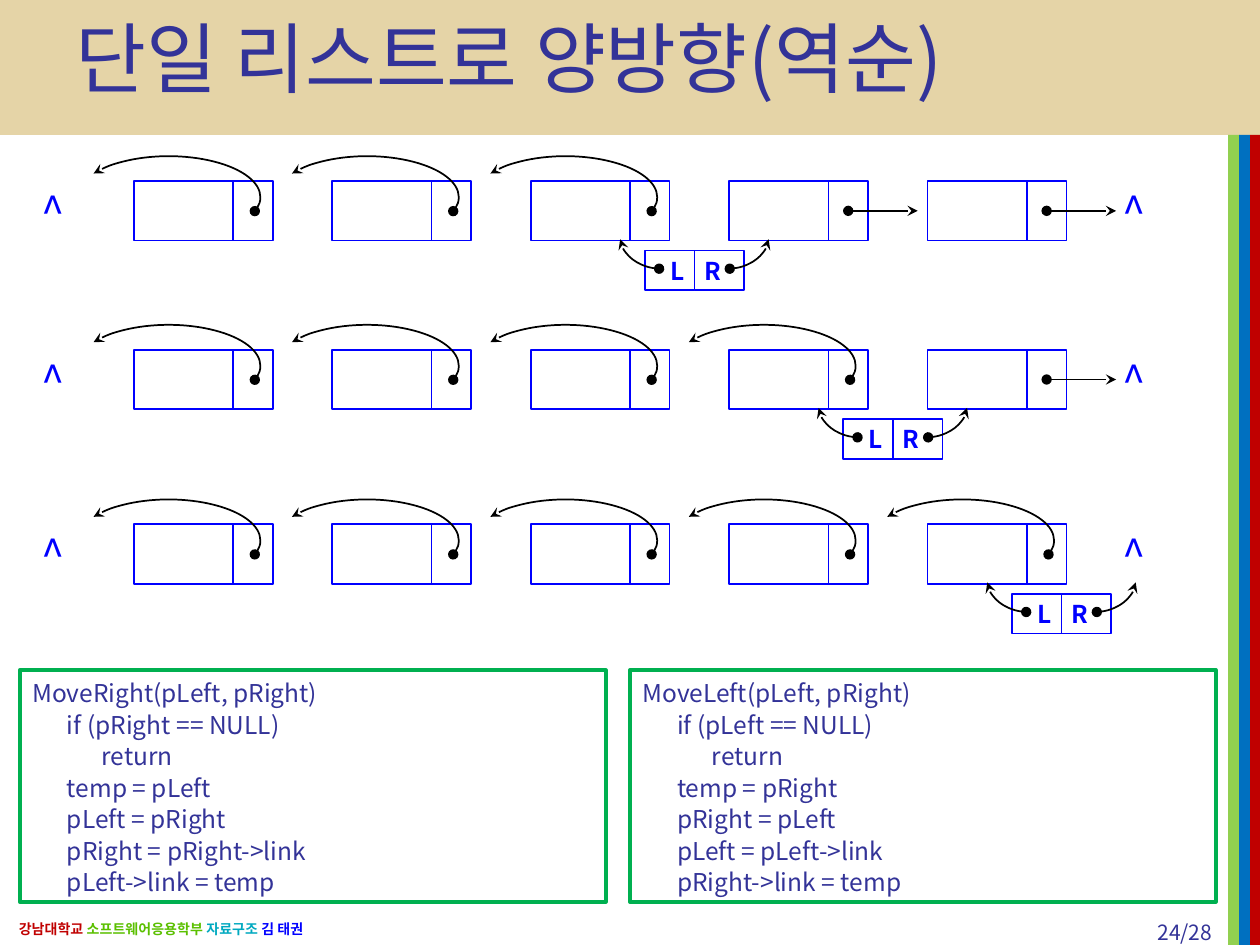
import pptx
import pptx.util
import pptx.dml.color
import pptx.enum.shapes
import pptx.enum.text
import pptx.oxml
import pptx.oxml.ns
from pptx.util import Cm

FONT = "Noto Sans CJK KR"
COLORS = {"sand": "E5D4A7", "red": "C00000", "blue": "0070C0", "lime": "92D050",
          "green": "00B050", "text": "333398", "node": "0000FF", "arrow": "000000",
          "dept": "5BC000", "course": "00A9C0"}
SHAPE = pptx.enum.shapes.MSO_SHAPE
ALIGN = pptx.enum.text.PP_ALIGN
MIDDLE = pptx.enum.text.MSO_ANCHOR.MIDDLE
TOP = pptx.enum.text.MSO_ANCHOR.TOP

NODE_LEFT, NODE_PITCH, NODE_COUNT = 2.7, 4.0, 5
NODE_W, NODE_H, LINK_X = 2.8, 1.2, 2.0
# top of the row, number of reversed links, left of the L/R pair
ROWS = [(3.65, 3, 13.0), (7.05, 4, 17.0), (10.57, 5, 20.4)]

MOVE_RIGHT = [(0, "MoveRight(pLeft, pRight)"), (1, "if (pRight == NULL)"),
              (2, "return"), (1, "temp = pLeft"), (1, "pLeft = pRight"),
              (1, "pRight = pRight->link"), (1, "pLeft->link = temp")]
MOVE_LEFT = [(0, "MoveLeft(pLeft, pRight)"), (1, "if (pLeft == NULL)"),
             (2, "return"), (1, "temp = pRight"), (1, "pRight = pLeft"),
             (1, "pLeft = pLeft->link"), (1, "pRight->link = temp")]


def rgb(name):
    """Return the colour of that name."""
    return pptx.dml.color.RGBColor.from_string(COLORS[name])


def style_run(r, size, color, bold=False):
    """Set font, size, colour and weight of a run."""
    r.font.name = FONT
    r.font.size = pptx.util.Pt(size)
    r.font.bold = bold
    r.font.color.rgb = rgb(color)
    ea = pptx.oxml.parse_xml('<a:ea %s typeface="%s"/>' % (pptx.oxml.ns.nsdecls("a"), FONT))
    r.font._element.find(pptx.oxml.ns.qn("a:latin")).addnext(ea)


def set_line(s, color, width=1, head=None, tail=None):
    """Set the line of a shape or connector and its arrowheads."""
    s.line.color.rgb = rgb(color)
    s.line.width = pptx.util.Pt(width)
    ln = s.line._get_or_add_ln()
    for tag, kind in (("headEnd", head), ("tailEnd", tail)):
        if kind:
            ln.append(pptx.oxml.parse_xml(
                '<a:%s %s type="%s"/>' % (tag, pptx.oxml.ns.nsdecls("a"), kind)))


def add_box(sp, x, y, w, h, fill=None, line=None, width=1, kind=SHAPE.RECTANGLE):
    """Add a preset shape without a shadow."""
    s = sp.add_shape(kind, Cm(x), Cm(y), Cm(w), Cm(h))
    s.shadow.inherit = False
    if fill:
        s.fill.solid()
        s.fill.fore_color.rgb = rgb(fill)
    else:
        s.fill.background()
    if line:
        set_line(s, line, width)
    else:
        s.line.fill.background()
    return s


def add_line(sp, x1, y1, x2, y2, color, head=None, tail=None):
    """Add a straight connector."""
    c = sp.add_connector(pptx.enum.shapes.MSO_CONNECTOR.STRAIGHT,
                         Cm(x1), Cm(y1), Cm(x2), Cm(y2))
    set_line(c, color, 1, head, tail)
    c._element.spPr.append(
        pptx.oxml.parse_xml("<a:effectLst %s/>" % pptx.oxml.ns.nsdecls("a")))


def add_arc(sp, x, y, w, h, angles, flips=()):
    """Add a curved arrow that ends at its first angle."""
    s = add_box(sp, x, y, w, h, kind=SHAPE.ARC)
    s.adjustments[0], s.adjustments[1] = angles
    set_line(s, "arrow", 1, "stealth", "oval")
    for flip in flips:
        s._element.spPr.xfrm.set(flip, "1")


def add_text(sp, x, y, w, h, parts, size, align=ALIGN.LEFT, anchor=MIDDLE,
             bold=False, inset=0.25):
    """Add a one-line text box made of (text, colour) parts."""
    tf = sp.add_textbox(Cm(x), Cm(y), Cm(w), Cm(h)).text_frame
    tf.word_wrap = True
    tf.vertical_anchor = anchor
    tf.margin_left = tf.margin_right = Cm(inset)
    p = tf.paragraphs[0]
    p.alignment = align
    for text, color in parts:
        r = p.add_run()
        r.text = text
        style_run(r, size, color, bold)


def add_code(sp, x, lines):
    """Add a framed listing of (level, text) lines."""
    s = add_box(sp, x, 13.51, 11.81, 4.67, line="green", width=2.25)
    tf = s.text_frame
    tf.word_wrap = True
    tf.vertical_anchor = TOP
    for i, (level, text) in enumerate(lines):
        p = tf.add_paragraph() if i else tf.paragraphs[0]
        p.text = text
        p.alignment = ALIGN.LEFT
        p.line_spacing = pptx.util.Pt(18)
        p._p.get_or_add_pPr().set("marL", str(Cm(0.7 * level)))
        style_run(p.runs[0], 14, "text")


def add_pointers(sp, x, y):
    """Add the L and R cells with their arrows."""
    for i, (name, align) in enumerate((("L", ALIGN.RIGHT), ("R", ALIGN.LEFT))):
        s = add_box(sp, x + i, y, 1, 0.8, line="node")
        tf = s.text_frame
        tf.margin_left = tf.margin_right = Cm(0.2)
        tf.vertical_anchor = MIDDLE
        tf.text = name
        tf.paragraphs[0].alignment = align
        style_run(tf.paragraphs[0].runs[0], 14, "node", True)
    for dx, flips in ((0.8, ("flipH", "flipV")), (-0.5, ("flipV",))):
        add_arc(sp, x + dx, y - 0.95, 1.7, 1.32, (110.591, 158.81), flips)


def add_list(sp, y, reversed_links, pointers_x):
    """Add one row: nodes, links, end marks and the pointer pair."""
    for i in range(NODE_COUNT):
        x = NODE_LEFT + i * NODE_PITCH
        add_box(sp, x, y, NODE_W, NODE_H, line="node")
        add_line(sp, x + LINK_X, y, x + LINK_X, y + NODE_H, "node")
        if i < reversed_links:
            add_arc(sp, x - 1.15, y - 0.5, 3.7, 1.65, (118.465, 5.541))
        else:
            mid = y + NODE_H / 2
            add_line(sp, x + 2.4, mid, x + 3.8, mid, "arrow", "oval", "stealth")
    for x in (0.71, 22.5):
        add_text(sp, x, y, 0.71, NODE_H, [("^", "node")], 24, ALIGN.CENTER, inset=0)
    add_pointers(sp, pointers_x, y + 1.4)


def add_frame(sp):
    """Add the title band, the side stripes and the footer."""
    add_box(sp, 0, 0, 25.4, 2.72, "sand")
    for i, color in enumerate(("lime", "blue", "red")):
        add_box(sp, 24.76 + 0.22 * i, 2.72, 0.22, 16.33, color)
    add_text(sp, 0.13, 18.42, 8.97, 0.63,
             [("강남대학교 ", "red"), ("소프트웨어응용학부 ", "dept"),
              ("자료구조 ", "course"), ("김 태권", "node")], 8, bold=True)


def set_title(s, text):
    """Place and format the title in front of the band."""
    s.left, s.top, s.width, s.height = Cm(1.27), Cm(0), Cm(22.86), Cm(2.54)
    tf = s.text_frame
    tf.text = text
    tf.vertical_anchor = MIDDLE
    p = tf.paragraphs[0]
    p.alignment = ALIGN.LEFT
    p.line_spacing = 0.9
    style_run(p.runs[0], 44, "text")
    s._element.getparent().append(s._element)


def main():
    """Build the slide and save it."""
    prs = pptx.Presentation()
    prs.slide_width, prs.slide_height = Cm(25.4), Cm(19.05)
    slide = prs.slides.add_slide(prs.slide_layouts[5])
    sp = slide.shapes
    add_frame(sp)
    set_title(sp.title, "단일 리스트로 양방향(역순)")
    add_code(sp, 0.4, MOVE_RIGHT)
    add_code(sp, 12.7, MOVE_LEFT)
    for row in ROWS:
        add_list(sp, *row)
    add_text(sp, 22.58, 18.42, 2.11, 0.63, [("24/28", "text")], 12, ALIGN.RIGHT, TOP)
    prs.save("out.pptx")


main()
